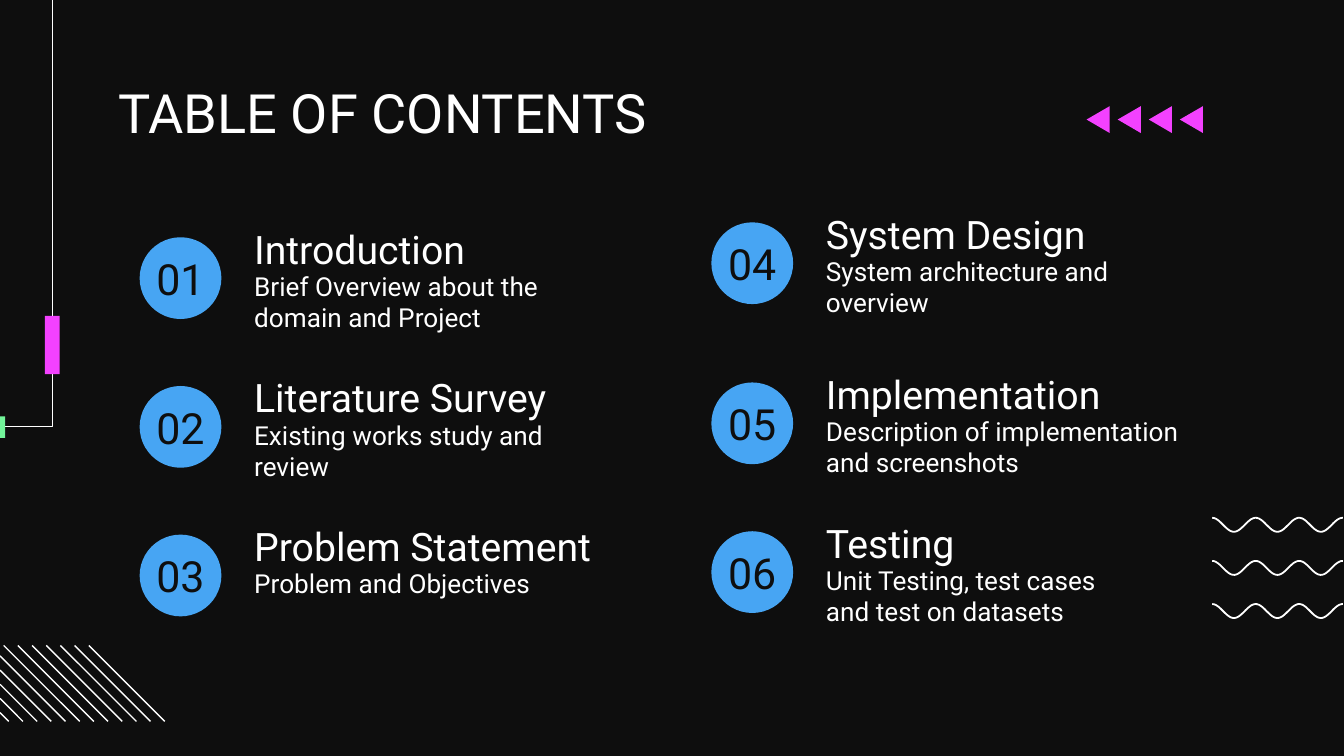
from math import cos, pi

from pptx import Presentation
from pptx.dml.color import RGBColor
from pptx.enum.shapes import MSO_CONNECTOR as Conn, MSO_SHAPE as Kind
from pptx.enum.text import MSO_ANCHOR as Anchor, MSO_AUTO_SIZE as Fit, PP_ALIGN as Align
from pptx.oxml.xmlchemy import OxmlElement as Element
from pptx.util import Pt

FONT = "Roboto"
DARK, WHITE, BLUE = "0E0E0E", "FFFFFF", "47A5F3"
PINK, GREEN = "F341FF", "72F49A"

LEFT = [
    (121, "01", "Introduction", "Brief Overview about the domain and Project", 185),
    (200.7, "02", "Literature Survey", "Existing works study and review", 185),
    (280.3, "03", "Problem Statement", "Problem and Objectives", 185),
]
RIGHT = [
    (113, "04", "System Design", "System architecture and overview", 185),
    (198.8, "05", "Implementation", "Description of implementation and screenshots", 228),
    (278.5, "06", "Testing", "Unit Testing, test cases and test on datasets", 185),
]


def color(code):
    return RGBColor.from_string(code)


def box(x, y, w, h):
    return Pt(x), Pt(y), Pt(w), Pt(h)


def paint(shape, code):
    shape.shadow.inherit = False
    shape.fill.solid()
    shape.fill.fore_color.rgb = color(code)
    shape.line.fill.background()


def block(slide, kind, area, code):
    paint(slide.shapes.add_shape(kind, *box(*area)), code)


def outline(slide, points, closed=False):
    points = [(Pt(x), Pt(y)) for x, y in points]
    path = slide.shapes.build_freeform(*points[0])
    path.add_line_segments(points[1:], close=closed)
    return path.convert_to_shape()


def stroke(slide, points, width):
    shape = outline(slide, points)
    shape.shadow.inherit = False
    shape.fill.background()
    shape.line.color.rgb = color(WHITE)
    shape.line.width = Pt(width)


def write(shape, text, size, code=WHITE, top=0, align=Align.LEFT):
    frame = shape.text_frame
    frame.text = text
    frame.word_wrap = True
    frame.auto_size = Fit.NONE
    frame.vertical_anchor = Anchor.TOP
    frame.margin_top = Pt(top)
    para = frame.paragraphs[0]
    para.alignment = align
    font = para.runs[0].font
    font.name, font.size = FONT, Pt(size)
    font.color.rgb = color(code)
    return para


def title(slide, x, y, w, h):
    shape = slide.shapes.title
    shape.left, shape.top, shape.width, shape.height = box(x, y, w, h)
    write(shape, "TABLE OF CONTENTS", 29)


def waves(slide, x, y, w, gap):
    period, height = 23.3, 7.5
    for row in range(3):
        points = []
        for step in range(int(w) + 1):
            phase = cos(2 * pi * step / period)
            points.append((x + step, y + row * gap + height * (1 - phase) / 2))
        stroke(slide, points, 0.95)


def hatch(slide, x, y, size, gap):
    # Diagonals start at the slide edge where they would cross it
    for i in range(12):
        start = x + i * gap
        cut = max(0, -start)
        line = slide.shapes.add_connector(
            Conn.STRAIGHT, Pt(start + cut), Pt(y + cut), Pt(start + size), Pt(y + size))
        line.line.color.rgb = color(WHITE)
        line.line.width = Pt(0.75)
        line._element.spPr.append(Element("a:effectLst"))


def rail(slide, x, y, w, h):
    stroke(slide, [(x, y + h), (x + w, y + h), (x + w, y)], 0.75)
    block(slide, Kind.RECTANGLE, (x, y + h - 5.5, 2.8, 11.6), GREEN)
    block(slide, Kind.RECTANGLE, (x + w - 4, y + 169.2, 7.9, 31.2), PINK)


def arrows(slide, x, y, w, h, gap):
    for i in range(4):
        tip = x + i * gap
        points = [(tip + w, y), (tip, y + h / 2), (tip + w, y + h)]
        paint(outline(slide, points, closed=True), PINK)


def entry(slide, x, y, number, head, note, width):
    # Number in a circle
    block(slide, Kind.OVAL, (x + 10.5, y + 6.1, 43.8, 43.8), BLUE)
    label = slide.shapes.add_textbox(*box(x, y, 64.8, 43.8))
    write(label, number, 23, DARK, 14.4, Align.CENTER)
    # Heading and note
    label = slide.shapes.add_textbox(*box(x + 64.8, y - 4.2, 227.5, 28))
    para = write(label, head, 21)
    para.line_spacing, para.space_after = 1.15, Pt(12)
    label = slide.shapes.add_textbox(*box(x + 64.8, y + 23.8, width, 43.2))
    write(label, note, 14)


def main():
    deck = Presentation()
    deck.slide_width, deck.slide_height = Pt(720), Pt(405)
    slide = deck.slides.add_slide(deck.slide_layouts[5])
    slide.background.fill.solid()
    slide.background.fill.fore_color.rgb = color(DARK)

    # Decoration
    waves(slide, 649.4, 277.4, 70.6, 23.1)
    hatch(slide, -36, 345.8, 40.7, 7.6)
    rail(slide, 0, 0, 28.1, 228.5)
    arrows(slide, 582.1, 56.9, 12.4, 14.4, 16.65)

    # Contents
    title(slide, 56.2, 42.5, 607.7, 33.1)
    for x, items in ((64.3, LEFT), (370.6, RIGHT)):
        for y, *texts in items:
            entry(slide, x, y, *texts)
    deck.save("out.pptx")


if __name__ == "__main__":
    main()
